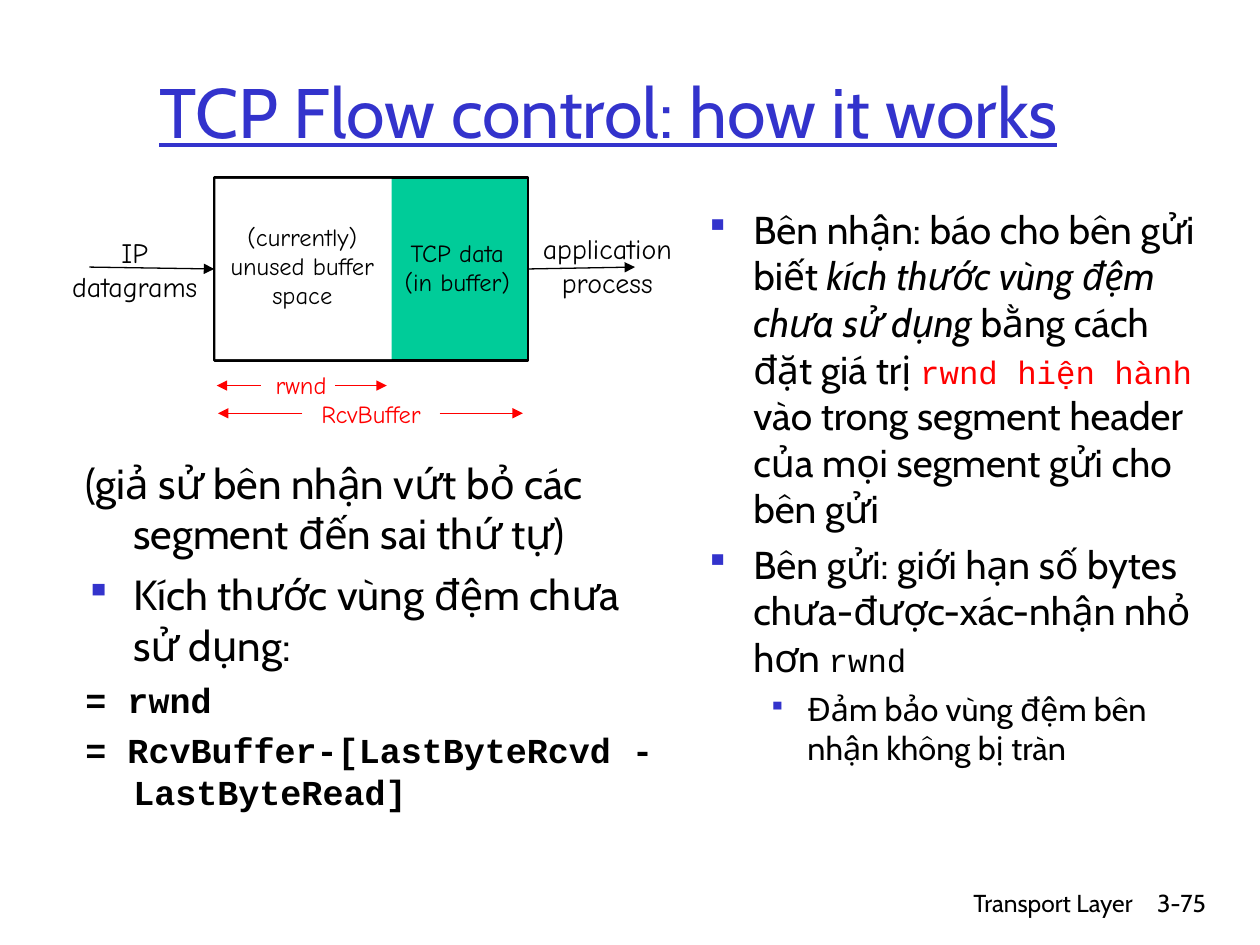
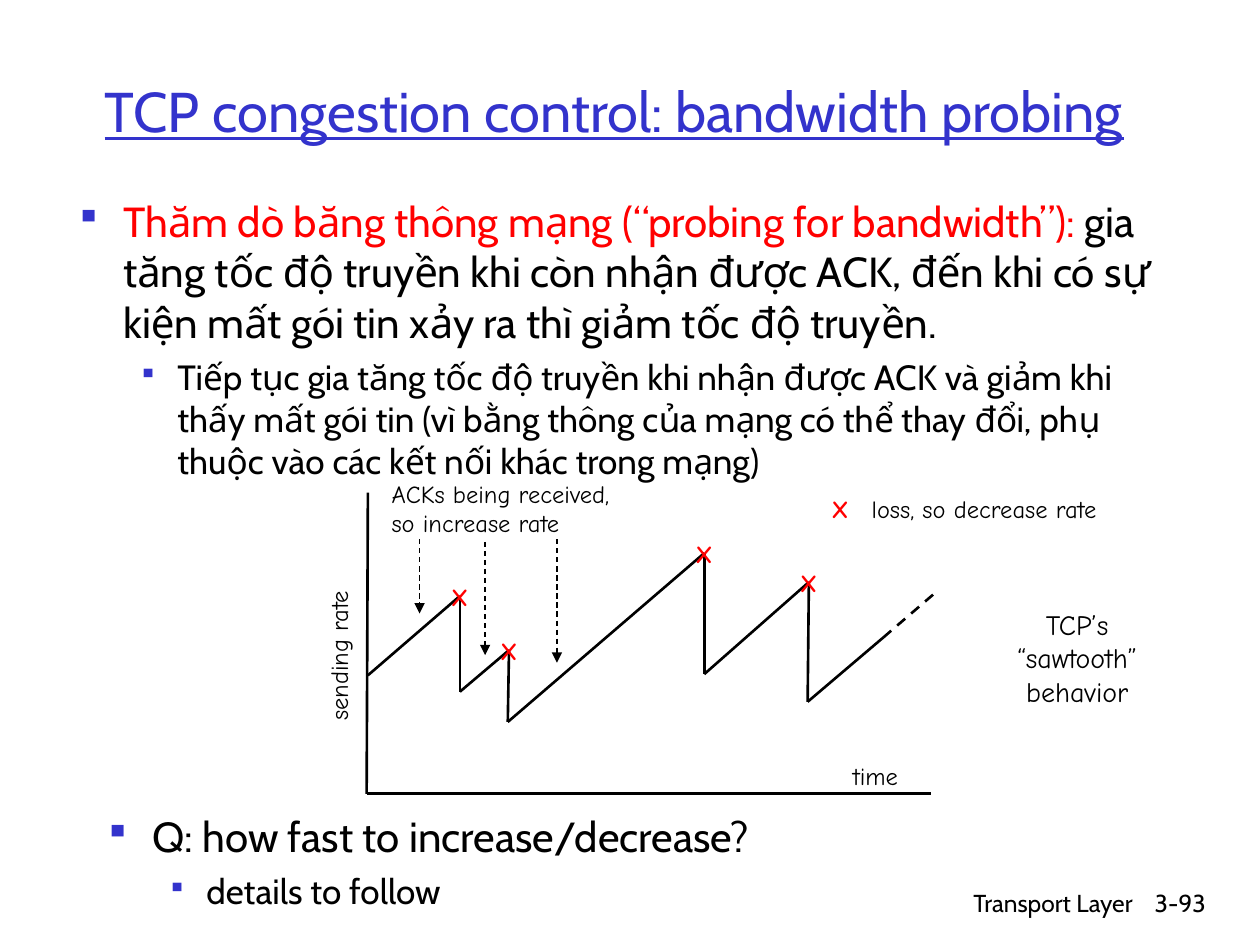
from dataclasses import dataclass
from itertools import pairwise
from typing import NamedTuple, Optional

from lxml.etree import SubElement
from pptx import Presentation
from pptx.dml.color import RGBColor
from pptx.enum.dml import MSO_LINE
from pptx.enum.shapes import MSO_CONNECTOR, MSO_SHAPE
from pptx.enum.text import MSO_ANCHOR, MSO_AUTO_SIZE, PP_ALIGN
from pptx.oxml.ns import qn
from pptx.util import Inches, Pt

BLACK = RGBColor(0x00, 0x00, 0x00)
WHITE = RGBColor(0xFF, 0xFF, 0xFF)
RED = RGBColor(0xFF, 0x00, 0x00)
GREEN = RGBColor(0x00, 0xCC, 0x99)
BLUE = RGBColor(0x33, 0x33, 0xCC)
BODY_FONT, SKETCH_FONT, CODE_FONT = "Cabin", "Comic Neue", "Courier New"
LEFT, CENTER, RIGHT = PP_ALIGN.LEFT, PP_ALIGN.CENTER, PP_ALIGN.RIGHT
LEFT_SIDE, RIGHT_SIDE = 1, 3


class Box(NamedTuple):
    left: float
    top: float
    width: float
    height: float


class Point(NamedTuple):
    x: float
    y: float


@dataclass(frozen=True)
class Run:
    text: str
    size: Optional[float] = None
    font: Optional[str] = None
    color: Optional[RGBColor] = None
    bold: bool = False
    italic: bool = False


@dataclass(frozen=True)
class Para:
    runs: tuple[Run, ...]
    indent: float = 0
    hanging: float = 0
    before: float = 0
    bullet_percent: int = 0
    level: int = 0


@dataclass(frozen=True)
class Label:
    """Unwrapped handwriting-style caption; each line is its own paragraph."""
    box: Box
    lines: tuple[str, ...]
    size: int = 14
    color: RGBColor = BLACK
    align: PP_ALIGN = CENTER
    bold: bool = False
    rotation: int = 0


@dataclass(frozen=True)
class Stroke:
    start: Point
    end: Point
    color: RGBColor = BLACK
    width: float = 0.75
    dashed: bool = False
    arrow: bool = True


def plain(*runs: Run, before: float = 0) -> Para:
    return Para(runs, 0.38, 0.38, before)


def bullet(*runs: Run, before: float = 0) -> Para:
    return Para(runs, 0.38, 0.38, before, 85)


def sub_bullet(*runs: Run) -> Para:
    return Para(runs, 0.81, 0.31, 5, 75, 1)


def format_paragraph(paragraph, para: Para) -> None:
    paragraph.level = para.level
    props = paragraph._p.get_or_add_pPr()
    if para.indent:
        props.set("marL", str(Inches(para.indent)))
        props.set("indent", str(-Inches(para.hanging)))
    if para.bullet_percent:
        tint = SubElement(props, qn("a:buClr"))
        SubElement(tint, qn("a:srgbClr"), val=str(BLUE))
        SubElement(props, qn("a:buSzPct"), val=str(para.bullet_percent * 1000))
        SubElement(props, qn("a:buChar"), char="▪")
    else:
        SubElement(props, qn("a:buNone"))
    paragraph.space_before = Pt(para.before)


def add_text(slide, box: Box, paras: list[Para], *, size: float,
             font: str = BODY_FONT, color: RGBColor = BLACK,
             align: PP_ALIGN = LEFT, anchor: MSO_ANCHOR = MSO_ANCHOR.TOP,
             underline: bool = False, wrap: bool = True, rotation: int = 0) -> None:
    """Add a text box; runs without their own format use the one given here."""
    text_box = slide.shapes.add_textbox(*map(Inches, box))
    text_box.rotation = rotation
    frame = text_box.text_frame
    frame.word_wrap = wrap
    frame.auto_size = MSO_AUTO_SIZE.NONE if wrap else MSO_AUTO_SIZE.SHAPE_TO_FIT_TEXT
    frame.vertical_anchor = anchor
    for index, para in enumerate(paras):
        paragraph = frame.add_paragraph() if index else frame.paragraphs[0]
        format_paragraph(paragraph, para)
        paragraph.alignment = align
        for part in para.runs:
            run = paragraph.add_run()
            run.text = part.text
            run.font.size = Pt(part.size or size)
            run.font.name = part.font or font
            run.font.color.rgb = part.color or color
            run.font.bold = part.bold
            run.font.italic = part.italic
            run.font.underline = underline


def add_label(slide, label: Label) -> None:
    paras = [Para((Run(line, bold=label.bold),)) for line in label.lines]
    add_text(slide, label.box, paras, size=label.size, font=SKETCH_FONT,
             color=label.color, align=label.align, wrap=False,
             rotation=label.rotation)


def add_stroke(slide, stroke: Stroke):
    connector = slide.shapes.add_connector(
        MSO_CONNECTOR.STRAIGHT, *map(Inches, stroke.start + stroke.end))
    connector.line.color.rgb = stroke.color
    connector.line.width = Pt(stroke.width)
    if stroke.dashed:
        connector.line.dash_style = MSO_LINE.DASH
    props = connector.element.spPr
    if stroke.arrow:
        SubElement(props.find(qn("a:ln")), qn("a:tailEnd"), type="triangle")
    SubElement(props, qn("a:effectLst"))
    return connector


def add_rectangle(slide, box: Box, fill: RGBColor, outline: Optional[RGBColor] = None):
    rectangle = slide.shapes.add_shape(MSO_SHAPE.RECTANGLE, *map(Inches, box))
    rectangle.shadow.inherit = False
    rectangle.fill.solid()
    rectangle.fill.fore_color.rgb = fill
    if outline is None:
        rectangle.line.fill.background()
    else:
        rectangle.line.color.rgb = outline
        rectangle.line.width = Pt(1.5)
    return rectangle


def add_page(deck, title: str, title_box: Box, title_size: int, number: str):
    slide = deck.slides.add_slide(deck.slide_layouts[6])
    for box, footer in ((Box(5.92, 7, 3.17, 0.5), "Transport Layer"),
                        (Box(8.93, 7, 0.74, 0.5), number)):
        add_text(slide, box, [Para((Run(footer),))], size=14, align=RIGHT)
    add_text(slide, title_box, [Para((Run(title),))], size=title_size, color=BLUE,
             align=CENTER, anchor=MSO_ANCHOR.MIDDLE, underline=True)
    return slide


def draw_receive_buffer(slide) -> None:
    tcp_buffer = add_rectangle(slide, Box(1.7, 1.41, 2.49, 1.45), GREEN, BLACK)
    add_rectangle(slide, Box(1.71, 1.42, 1.4, 1.43), WHITE)

    arriving = add_stroke(slide, Stroke(Point(0.71, 2.12), Point(1.7, 2.13)))
    arriving.end_connect(tcp_buffer, LEFT_SIDE)
    leaving = add_stroke(slide, Stroke(Point(4.19, 2.13), Point(5.04, 2.12)))
    leaving.begin_connect(tcp_buffer, RIGHT_SIDE)

    for label in (
        Label(Box(0.47, 1.82, 1.2, 0.64), ("IP", "datagrams"), 16),
        Label(Box(3.11, 1.84, 1.04, 0.57), ("TCP data", "(in buffer)")),
        Label(Box(1.73, 1.71, 1.34, 0.8), ("(currently)", "unused buffer", "space")),
        Label(Box(4.21, 1.79, 1.22, 0.64), ("application", "process"), 16),
        Label(Box(1.99, 2.89, 0.8, 0.34), ("rwnd",), color=RED),
        Label(Box(2.35, 3.12, 1.19, 0.34), ("RcvBuffer",), color=RED),
    ):
        add_label(slide, label)

    for y, inner_left, outer_left, inner_right, outer_right in (
            (3.06, 2.07, 1.72, 2.66, 3.07), (3.28, 2.4, 1.73, 3.49, 4.15)):
        add_stroke(slide, Stroke(Point(inner_left, y), Point(outer_left, y), RED))
        add_stroke(slide, Stroke(Point(inner_right, y), Point(outer_right, y), RED))


def build_flow_control(deck) -> None:
    slide = add_page(deck, "TCP Flow control: how it works",
                     Box(0.58, 0.25, 8.5, 1.25), 40, "3-75")
    add_text(slide, Box(0.58, 3.58, 4.75, 3.25), [
        plain(Run("(giả sử bên nhận vứt bỏ các segment đến sai thứ tự)")),
        bullet(Run("Kích thước vùng đệm chưa sử dụng:"), before=6),
        *(plain(Run(formula, 20, CODE_FONT, bold=True), before=5) for formula in
          ("= rwnd", "= RcvBuffer-[LastByteRcvd - LastByteRead]")),
    ], size=24)
    add_text(slide, Box(5.5, 1.58, 4.25, 5.08), [
        bullet(Run("Bên nhận: báo cho bên gửi biết "),
               Run("kích thước vùng đệm chưa sử dụng", italic=True),
               Run(" bằng cách đặt giá trị "),
               Run("rwnd hiện hành ", 18.5, CODE_FONT, RED),
               Run("vào trong segment header của mọi segment gửi cho bên gửi")),
        bullet(Run("Bên gửi: giới hạn số bytes chưa-được-xác-nhận nhỏ hơn "),
               Run("rwnd", 18.5, CODE_FONT), before=5),
        sub_bullet(Run("Đảm bảo vùng đệm bên nhận không bị tràn", 18.5)),
    ], size=22.2)
    draw_receive_buffer(slide)


def draw_sawtooth(slide) -> None:
    axes = (Point(2.92, 3.91), Point(2.91, 6.3), Point(7.39, 6.3))
    rate = (Point(2.92, 5.36), Point(3.65, 4.73), Point(3.65, 5.49),
            Point(4.04, 5.16), Point(4.03, 5.73), Point(5.59, 4.39),
            Point(5.59, 5.35), Point(6.42, 4.62), Point(6.41, 5.57),
            Point(7.01, 5.06))
    for corners in (axes, rate):
        for start, end in pairwise(corners):
            add_stroke(slide, Stroke(start, end, width=1.5, arrow=False))
    add_stroke(slide, Stroke(rate[-1], Point(7.44, 4.69), width=1.5,
                             dashed=True, arrow=False))

    for x, top, bottom in ((3.33, 4.28, 4.87), (3.85, 4.3, 5.2), (4.42, 4.28, 5.26)):
        add_stroke(slide, Stroke(Point(x, top), Point(x, bottom), dashed=True))

    mark = 0.34
    loss_peaks = rate[1:-1:2]
    legend_center = Point(6.67, 4.03)
    for x, y in (*loss_peaks, legend_center):
        add_label(slide, Label(Box(x - mark / 2, y - mark / 2 + 0.01, mark, mark),
                               ("X",), color=RED, bold=True))

    for label in (
        Label(Box(3.01, 3.75, 2, 0.57), ("ACKs being received,", "so increase rate"),
              align=LEFT),
        Label(Box(6.82, 3.87, 2, 0.34), ("loss, so decrease rate",), align=LEFT),
        Label(Box(2.07, 5.03, 1.24, 0.34), ("sending rate",), align=LEFT, rotation=270),
        Label(Box(6.67, 5.99, 0.56, 0.34), ("time",), align=LEFT),
        Label(Box(7.97, 4.77, 1.16, 0.9), ("TCP’s", "“sawtooth”", "behavior"), 16),
    ):
        add_label(slide, label)


def build_bandwidth_probing(deck) -> None:
    slide = add_page(deck, "TCP congestion control: bandwidth probing",
                     Box(0.25, 0.25, 9.25, 1.25), 32, "3-93")
    add_text(slide, Box(0.5, 1.5, 9, 1.58), [
        bullet(Run("Thăm dò băng thông mạng (“probing for bandwidth”): ", color=RED),
               Run("gia tăng tốc độ truyền khi còn nhận được ACK, đến khi có sự kiện "
                   "mất gói tin xảy ra thì giảm tốc độ truyền.")),
        sub_bullet(Run("Tiếp tục gia tăng tốc độ truyền khi nhận được ACK và giảm khi "
                       "thấy mất gói tin (vì bằng thông của mạng có thể thay đổi, phụ "
                       "thuộc vào các kết nối khác trong mạng)", 20)),
    ], size=24)
    draw_sawtooth(slide)
    add_text(slide, Box(0.73, 6.38, 9, 0.94), [
        bullet(Run("Q: how fast to increase/decrease?")),
        sub_bullet(Run("details to follow", 20)),
    ], size=24)


def main() -> None:
    deck = Presentation()
    deck.slide_width, deck.slide_height = Inches(10), Inches(7.5)
    build_flow_control(deck)
    build_bandwidth_probing(deck)
    deck.save("out.pptx")


if __name__ == "__main__":
    main()
